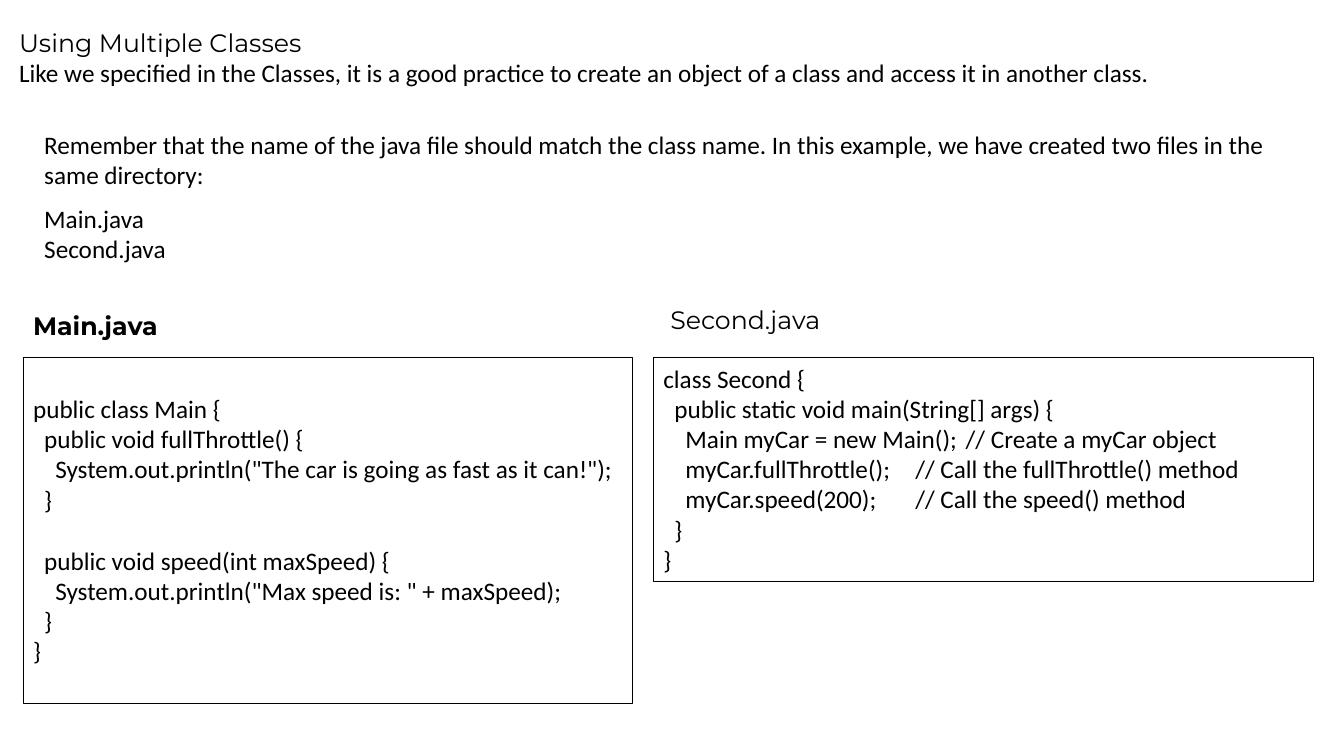
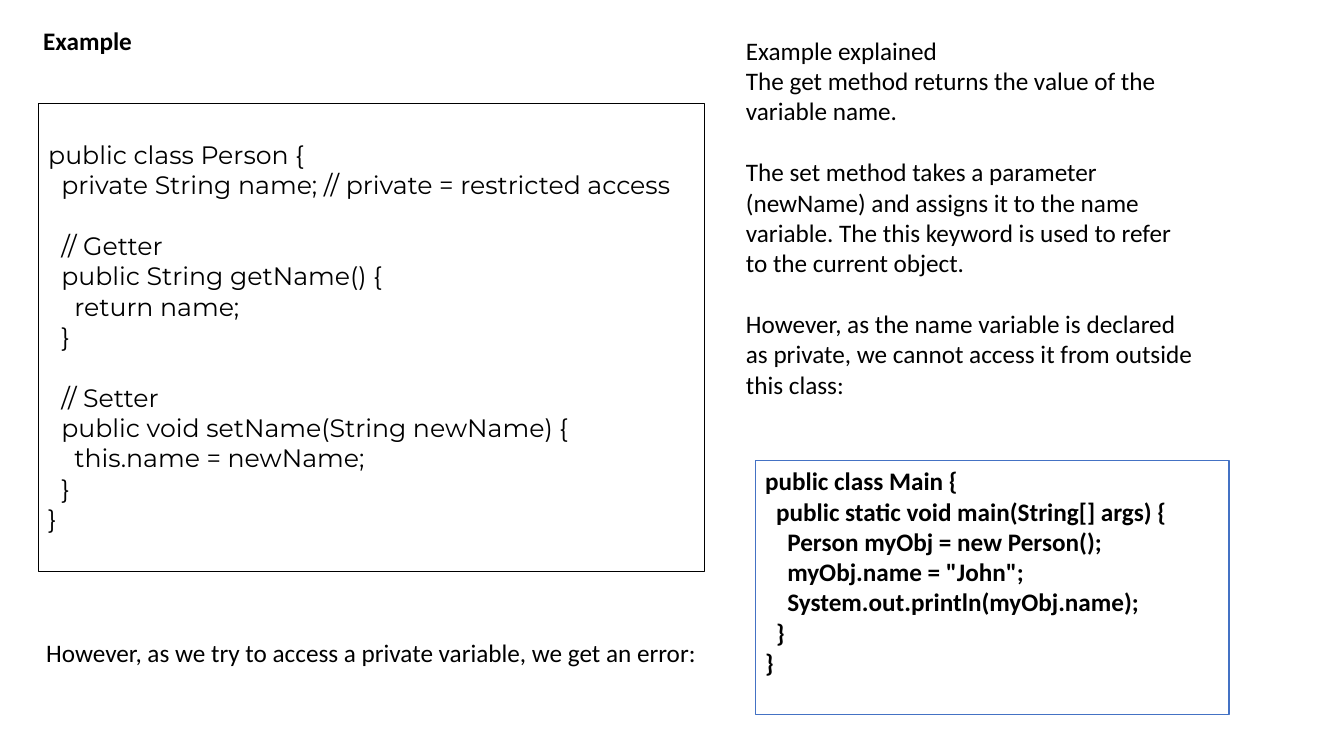
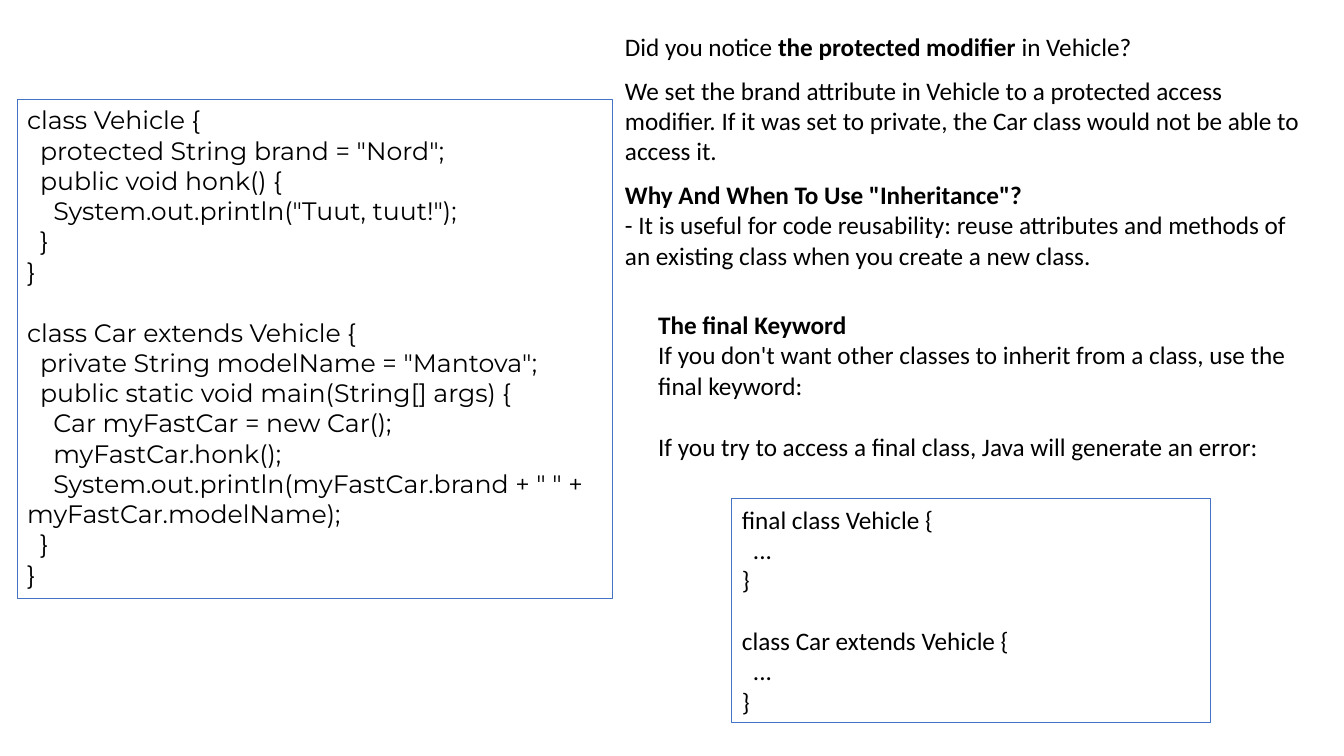
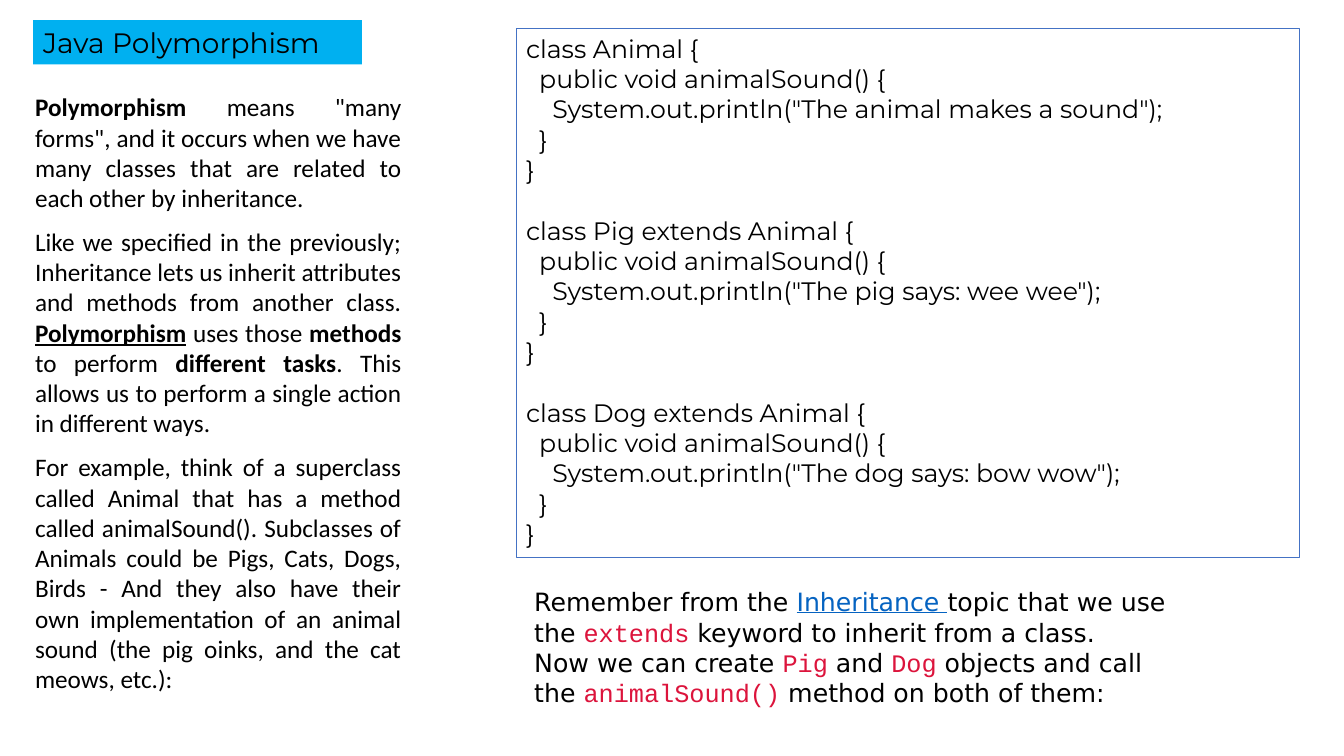
from lxml import etree
from pptx import Presentation
from pptx.dml.color import RGBColor
from pptx.enum.shapes import MSO_SHAPE
from pptx.enum.text import MSO_ANCHOR, PP_ALIGN
from pptx.oxml.ns import qn
from pptx.util import Inches, Pt

RECTANGLE = MSO_SHAPE.RECTANGLE
TOP = MSO_ANCHOR.TOP
LEFT, JUSTIFY = PP_ALIGN.LEFT, PP_ALIGN.JUSTIFY

BLACK, BLUE, SKY = "000000", "4472C4", "00B0F0"
LINK, CRIMSON = "0563C1", "DC143C"
BODY, DISPLAY, WEB, MONO = "Calibri", "Montserrat", "DejaVu Sans", "Courier New"
TEXT_SIZE = 18
SMALL_GAP, LINE_GAP = 9.8, 22  # points
INSET, LINE_HEIGHT = 0.05, 0.3  # inches
INDENT_STEP = {BODY: 0.11, DISPLAY: 0.13}  # inches per code level
NBSP = chr(160)

MAIN_CODE = """public class Main {
  public void fullThrottle() {
    System.out.println("The car is going as fast as it can!");
  }

  public void speed(int maxSpeed) {
    System.out.println("Max speed is: " + maxSpeed);
  }
}"""

SECOND_CODE = """class Second {
  public static void main(String[] args) {
    Main myCar = new Main();\t// Create a myCar object
    myCar.fullThrottle();\t// Call the fullThrottle() method
    myCar.speed(200);\t// Call the speed() method
  }
}"""

PERSON_CODE = """public class Person {
  private String name; // private = restricted access

  // Getter
  public String getName() {
    return name;
  }

  // Setter
  public void setName(String newName) {
    this.name = newName;
  }
}"""

ACCESS_CODE = """public class Main {
  public static void main(String[] args) {
    Person myObj = new Person();
    myObj.name = "John";
    System.out.println(myObj.name);
  }
}"""

VEHICLE_CODE = """class Vehicle {
  protected String brand = "Nord";
  public void honk() {
    System.out.println("Tuut, tuut!");
  }
}

class Car extends Vehicle {
  private String modelName = "Mantova";
  public static void main(String[] args) {
    Car myFastCar = new Car();
    myFastCar.honk();
    System.out.println(myFastCar.brand + " " + myFastCar.modelName);
  }
}"""

FINAL_CODE = """final class Vehicle {
  ...
}

class Car extends Vehicle {
  ...
}"""

ANIMAL_CODE = """class Animal {
  public void animalSound() {
    System.out.println("The animal makes a sound");
  }
}

class Pig extends Animal {
  public void animalSound() {
    System.out.println("The pig says: wee wee");
  }
}

class Dog extends Animal {
  public void animalSound() {
    System.out.println("The dog says: bow wow");
  }
}"""


def rgb(value):
    return RGBColor.from_string(value)


def place(box):
    return [Inches(length) for length in box]


def bold(text, **style):
    return text, {"bold": True, **style}


def keyword(text):
    return text, {"font": MONO, "color": CRIMSON}


def add_span(para, text, font=BODY, size=TEXT_SIZE, color=BLACK, bold=False, underline=False):
    span = para.add_run()
    span.text = text
    span.font.name = font
    span.font.size = Pt(size)
    span.font.color.rgb = rgb(color)
    span.font.bold = bold
    span.font.underline = underline


def next_para(frame, is_first, gap=0, align=LEFT):
    para = frame.paragraphs[0] if is_first else frame.add_paragraph()
    para.alignment = align
    if gap:
        para.space_before = Pt(gap)
    return para


def add_rectangle(page, box, fill=None, line=None):
    shape = page.shapes.add_shape(RECTANGLE, *place(box))
    shape.shadow.inherit = False
    if fill:
        shape.fill.solid()
        shape.fill.fore_color.rgb = rgb(fill)
    else:
        shape.fill.background()
    if line:
        shape.line.color.rgb = rgb(line)
        shape.line.width = Pt(0.75)
    else:
        shape.line.fill.background()
    frame = shape.text_frame
    frame.word_wrap = True
    frame.vertical_anchor = TOP
    return frame


def add_prose(page, box, *paragraphs, font=BODY, align=LEFT):
    """Each paragraph is a gap in points, then spans: text or (text, style)."""
    frame = page.shapes.add_textbox(*place(box)).text_frame
    frame.word_wrap = True
    for number, (gap, *spans) in enumerate(paragraphs):
        para = next_para(frame, number == 0, gap, align)
        for span in spans:
            text, style = (span, {}) if isinstance(span, str) else span
            add_span(para, text, **{"font": font, **style})


def add_code(page, box, code, font=BODY, line=BLUE, bold=False, lines_above=0, comment_stops=()):
    """Framed code; each comment stop serves the next line that holds a tab."""
    frame = add_rectangle(page, box, line=line)
    frame.margin_top = Inches(INSET + lines_above * LINE_HEIGHT)
    stops = iter(comment_stops)
    gap = 0
    for number, row in enumerate(code.split("\n")):
        if not row:
            gap = LINE_GAP
            continue
        text = row.lstrip(" ")
        para = next_para(frame, number == 0, gap)
        gap = 0
        level = (len(row) - len(text)) // 2
        props = para._p.get_or_add_pPr()
        props.set("marL", "0")
        props.set("indent", str(Inches(level * INDENT_STEP[font])))
        if "\t" in text:
            tabs = etree.SubElement(props, qn("a:tabLst"))
            etree.SubElement(tabs, qn("a:tab"), pos=str(Inches(next(stops))), algn="l")
        add_span(para, text, font=font, bold=bold)


def add_banner(page, box, text):
    frame = add_rectangle(page, box, fill=SKY)
    add_span(next_para(frame, True), text, font=DISPLAY, size=20)


def build_multiple_classes(page):
    add_code(page, (0.23, 3.55, 6.04, 3.43), MAIN_CODE, line=BLACK, lines_above=1)
    add_prose(
        page, (0.09, 0.22, 12.78, 0.71),
        (0, ("Using Multiple Classes", {"font": DISPLAY})),
        (0, "Like we specified in the Classes, it is a good practice to create an object "
            "of a class and access it in another class."))
    add_code(page, (6.48, 3.55, 6.55, 2.22), SECOND_CODE, line=BLACK,
             comment_stops=(3.2, 2.6, 2.68))
    add_prose(
        page, (0.34, 1.23, 12.42, 1.45),
        (0, "Remember that the name of the java file should match the class name. In this "
            "example, we have created two files in the same directory:"),
        (SMALL_GAP, "Main.java"),
        (0, "Second.java"))
    add_prose(page, (0.23, 3.03, 3.47, 0.4), (0, bold("Main.java")), font=DISPLAY)
    add_prose(page, (6.55, 2.97, 3.05, 0.4), (0, "Second.java"), font=DISPLAY)


def build_encapsulation(page):
    add_code(page, (0.38, 1.03, 6.61, 4.64), PERSON_CODE, font=DISPLAY, line=BLACK,
             lines_above=1)
    add_prose(
        page, (7.3, 0.3, 4.64, 3.74),
        (0, "Example explained"),
        (0, "The get method returns the value of the variable name."),
        (LINE_GAP, "The set method takes a parameter (newName) and assigns it to the name "
                   "variable. The this keyword is used to refer to the current object."),
        (LINE_GAP, "However, as the name variable is declared as private, we cannot access "
                   "it from outside this class:"))
    add_code(page, (7.49, 4.57, 4.7, 2.52), ACCESS_CODE, bold=True)
    add_prose(page, (0.36, 6.27, 6.67, 0.4),
              (0, "However, as we try to access a private variable, we get an error:"))
    add_prose(page, (0.33, 0.2, 6.67, 0.4), (0, bold("Example")))


def build_inheritance(page):
    add_code(page, (0.17, 0.99, 5.91, 4.95), VEHICLE_CODE, font=DISPLAY)
    add_prose(
        page, (6.1, 0.26, 6.98, 2.63),
        (0, "Did you notice ", bold("the protected modifier "), "in Vehicle?"),
        (SMALL_GAP, "We set the brand attribute in Vehicle to a protected access modifier. "
                    "If it was set to private, the Car class would not be able to access it."),
        (SMALL_GAP, bold('Why And When To Use "Inheritance"?')),
        (0, "- It is useful for code reusability: reuse attributes and methods of an "
            "existing class when you create a new class."))
    add_prose(
        page, (6.43, 3.02, 6.74, 1.62),
        (0, bold("The final Keyword")),
        (0, "If you don't want other classes to inherit from a class, use the final keyword:"),
        (LINE_GAP, "If you try to access a final class, Java will generate an error:"))
    add_code(page, (7.26, 4.95, 4.75, 2.22), FINAL_CODE)


def build_polymorphism(page):
    add_prose(
        page, (0.25, 0.86, 3.83, 6.43),
        (0, bold("Polymorphism"),
         ' means "many forms", and it occurs when we have many classes that are related '
         "to each other by inheritance."),
        (SMALL_GAP,
         "Like we specified in the previously; Inheritance lets us inherit attributes and "
         "methods from another class. ",
         bold("Polymorphism", underline=True), " uses those ", bold("methods"),
         " to perform ", bold("different tasks"),
         ". This allows us to perform a single action in different ways."),
        (SMALL_GAP,
         "For example, think of a superclass called Animal that has a method called "
         "animalSound(). Subclasses of Animals could be Pigs, Cats, Dogs, Birds - And they "
         "also have their own implementation of an animal sound (the pig oinks, and the cat "
         "meows, etc.):"),
        align=JUSTIFY)
    add_banner(page, (0.33, 0.2, 3.26, 0.44), "Java Polymorphism")
    add_code(page, (5.12, 0.28, 7.77, 5.25), ANIMAL_CODE, font=DISPLAY)
    add_prose(
        page, (5.2, 5.77, 7.57, 1.31),
        (0, f"Remember from the{NBSP}",
         ("Inheritance ", {"color": LINK, "underline": True}),
         f"topic that we use the{NBSP}", keyword("extends"),
         f"{NBSP}keyword to inherit from a class."),
        (0, f"Now we can create{NBSP}", keyword("Pig"), f"{NBSP}and{NBSP}", keyword("Dog"),
         f"{NBSP}objects and call the{NBSP}", keyword("animalSound()"),
         f"{NBSP}method on both of them:"),
        font=WEB)


def main():
    deck = Presentation()
    deck.slide_width, deck.slide_height = Inches(13.33), Inches(7.5)
    blank = deck.slide_layouts[6]
    for build in (build_multiple_classes, build_encapsulation,
                  build_inheritance, build_polymorphism):
        build(deck.slides.add_slide(blank))
    deck.save("out.pptx")


if __name__ == "__main__":
    main()
